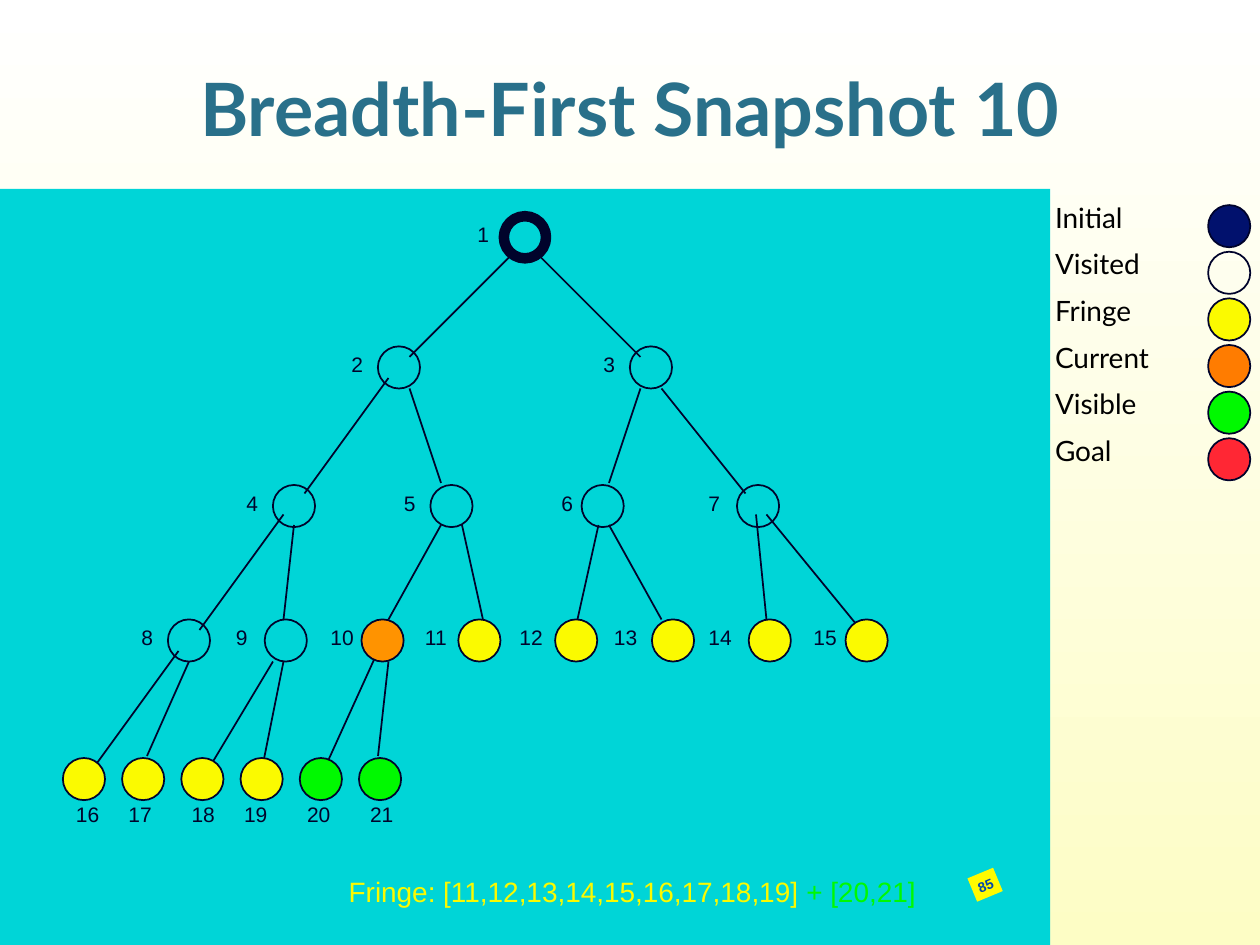
from dataclasses import dataclass

from lxml.etree import SubElement
from pptx import Presentation
from pptx.dml.color import RGBColor
from pptx.enum.shapes import MSO_CONNECTOR as CONN, MSO_SHAPE as SHAPE
from pptx.enum.text import MSO_ANCHOR as ANCHOR, PP_ALIGN as ALIGN
from pptx.oxml.ns import qn
from pptx.util import Cm, Pt


@dataclass(frozen=True)
class Theme:
    bottom: str = "FDFDC5"
    top: str = "FFFFFF"
    panel: str = "00D5D7"
    title: str = "29708A"
    ink: str = "00032B"
    black: str = "000000"
    initial: str = "01116D"
    fringe: str = "FBFA00"
    current: str = "FF9300"
    current_key: str = "FF7C00"
    visible: str = "00F900"
    goal: str = "FF2734"
    badge: str = "FFFB00"
    badge_text: str = "0048AA"
    head_font: str = "Lato"
    body_font: str = "Arial"
    title_size: int = 42
    text_size: int = 16
    node_size: int = 12
    badge_size: int = 8


T = Theme()
UNIT = 2.54 / 12      # tree grid step, cm
DIAMETER = 0.85       # circle size, cm

# Tree levels in grid units: centre height, node centres, label left edges
LEVELS = [
    (4.6, [50], [45]),
    (17, [38, 62], [33, 57]),
    (30.2, [28, 43, 57.4, 72.2], [23, 38, 53, 67]),
    (43, [18 + 9.22 * i for i in range(8)], [13, 22, 31, 40, 49, 58, 67, 77]),
    (56.2, [8 + 5.64 * i for i in range(6)], [6.7, 11.7, 17.7, 22.7, 28.7, 34.7]),
]
# Branches in grid units: x and y at the parent, x and y at the child
BRANCHES = [
    (49, 6, 39, 16), (51, 6, 61, 16),
    (37, 18, 29, 29), (39, 19, 42, 28), (61, 19, 58, 28), (63, 19, 71, 29),
    (27, 31, 19, 42), (28, 32, 27, 41), (42, 32, 37, 41), (44, 32, 46, 41),
    (57, 32, 55, 41), (58, 32, 63, 41), (72, 31, 73, 41), (73, 31, 82, 42),
    (17, 44, 9, 55), (18, 45, 14, 54), (26, 45, 20, 55), (27, 45, 25, 55),
    (36, 44, 31, 55), (37, 45, 36, 54),
]
FILLS = {10: T.current, 20: T.visible, 21: T.visible,
         **{n: T.fringe for n in range(11, 20)}}
LEGEND = [("Initial", T.initial), ("Visited", None), ("Fringe", T.fringe),
          ("Current", T.current_key), ("Visible", T.visible), ("Goal", T.goal)]


def rgb(color):
    return RGBColor.from_string(color)


def write(sp, text, *, size, color, font=T.body_font, bold=False,
          align=ALIGN.LEFT, anchor=ANCHOR.TOP, wrap=False):
    """Add formatted text to the first paragraph of a shape."""
    tf = sp.text_frame
    tf.word_wrap, tf.vertical_anchor = wrap, anchor
    tf.margin_left = tf.margin_right = tf.margin_top = tf.margin_bottom = Cm(0.1)
    p = tf.paragraphs[0]
    p.alignment = align
    r = p.add_run()
    r.text = text
    r.font.name, r.font.size, r.font.bold = font, Pt(size), bold
    r.font.color.rgb = rgb(color)


def add_box(slide, x, y, w, h):
    return slide.shapes.add_textbox(Cm(x), Cm(y), Cm(w), Cm(h))


def add_filled(slide, kind, x, y, w, h, fill=None, line=None, width=1):
    sp = slide.shapes.add_shape(kind, Cm(x), Cm(y), Cm(w), Cm(h))
    sp.shadow.inherit = False
    if fill:
        sp.fill.solid()
        sp.fill.fore_color.rgb = rgb(fill)
    else:
        sp.fill.background()
    if line:
        sp.line.color.rgb = rgb(line)
        sp.line.width = Pt(width)
    else:
        sp.line.fill.background()
    return sp


def add_circle(slide, cx, cy, fill=None, width=1):
    add_filled(slide, SHAPE.OVAL, cx - DIAMETER / 2, cy - DIAMETER / 2,
               DIAMETER, DIAMETER, fill, T.ink, width)


def add_branch(slide, x1, y1, x2, y2):
    cx = slide.shapes.add_connector(CONN.STRAIGHT, Cm(x1), Cm(y1), Cm(x2), Cm(y2))
    cx.line.color.rgb = rgb(T.ink)
    cx.line.width = Pt(1)
    SubElement(cx._element.spPr, qn("a:effectLst"))


def set_background(slide):
    fill = slide.background.fill
    fill.gradient()
    fill.gradient_angle = 90
    for stop, color in zip(fill.gradient_stops, (T.bottom, T.top)):
        stop.color.rgb = rgb(color)
    fill.gradient_stops[0].position, fill.gradient_stops[1].position = 0, 1


def place_title(slide, x, y, w, h):
    sp = slide.shapes.title
    sp.left, sp.top, sp.width, sp.height = Cm(x), Cm(y), Cm(w), Cm(h)
    write(sp, "Breadth-First Snapshot 10", size=T.title_size, color=T.title,
          font=T.head_font, bold=True, align=ALIGN.CENTER,
          anchor=ANCHOR.MIDDLE, wrap=True)


def draw_tree(slide, x, y, w, h):
    add_filled(slide, SHAPE.RECTANGLE, x, y, w, h, T.panel)
    for x1, y1, x2, y2 in BRANCHES:
        add_branch(slide, x + x1 * UNIT, y + y1 * UNIT,
                   x + x2 * UNIT, y + y2 * UNIT)
    # Nodes, numbered level by level
    number = 0
    for level, centres, labels in LEVELS:
        last = level == LEVELS[-1][0]
        label_top = level + (1.65 if last else -1.95)
        for centre, label in zip(centres, labels):
            number += 1
            add_circle(slide, x + centre * UNIT, y + level * UNIT,
                       FILLS.get(number), 6 if number == 1 else 1)
            sp = add_box(slide, x + label * UNIT, y + label_top * UNIT,
                         0.48 if number < 10 else 0.7, 0.7)
            write(sp, str(number), size=T.node_size, color=T.ink,
                  align=ALIGN.CENTER if last else ALIGN.LEFT)
    # Fringe list
    sp = add_box(slide, x + 6.93, y + 13.72, 11.71, 0.84)
    write(sp, "Fringe: [11,12,13,14,15,16,17,18,19] ", size=T.text_size, color=T.fringe)
    write(sp, "+ [20,21]", size=T.text_size, color=T.visible)
    # Page number badge
    sp = add_filled(slide, SHAPE.RECTANGLE, x + 19.58, y + 13.77, 0.56, 0.51, T.badge)
    sp.rotation = 337.5
    write(sp, "85", size=T.badge_size, color=T.badge_text, bold=True,
          align=ALIGN.CENTER)


def draw_legend(slide, x, y, w, row):
    for i, (name, fill) in enumerate(LEGEND):
        top = y + i * row
        add_circle(slide, x + w - 0.62, top + 0.75, fill)
        write(add_box(slide, x, top + 0.13, 2.4, 0.91), name,
              size=T.text_size, color=T.black, font=T.head_font)


def main():
    prs = Presentation()
    prs.slide_width, prs.slide_height = Cm(25.4), Cm(19.05)
    slide = prs.slides.add_slide(prs.slide_layouts[5])
    set_background(slide)
    place_title(slide, 1.52, 0, 22.35, 4.32)
    draw_tree(slide, 0, 3.81, 21.17, 15.24)
    draw_legend(slide, 21.17, 3.81, 4.23, 0.94)
    prs.save("out.pptx")


if __name__ == "__main__":
    main()
